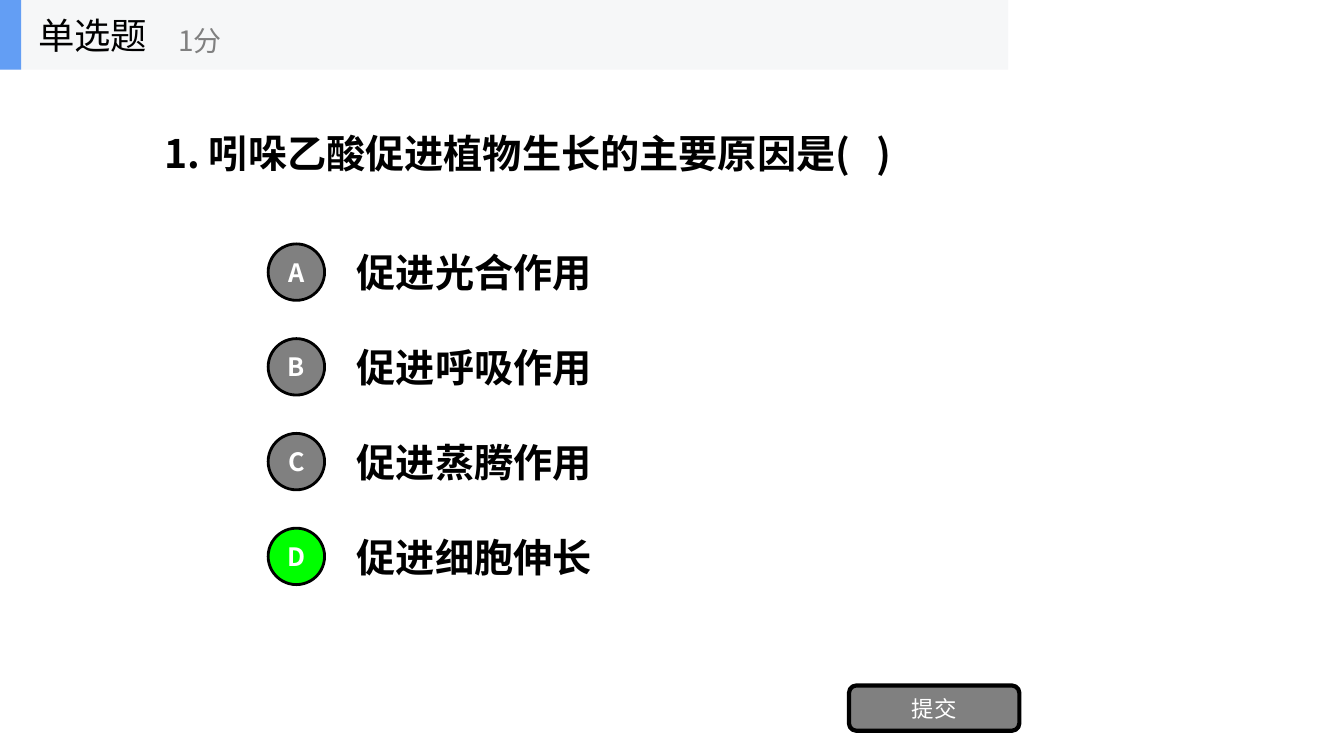
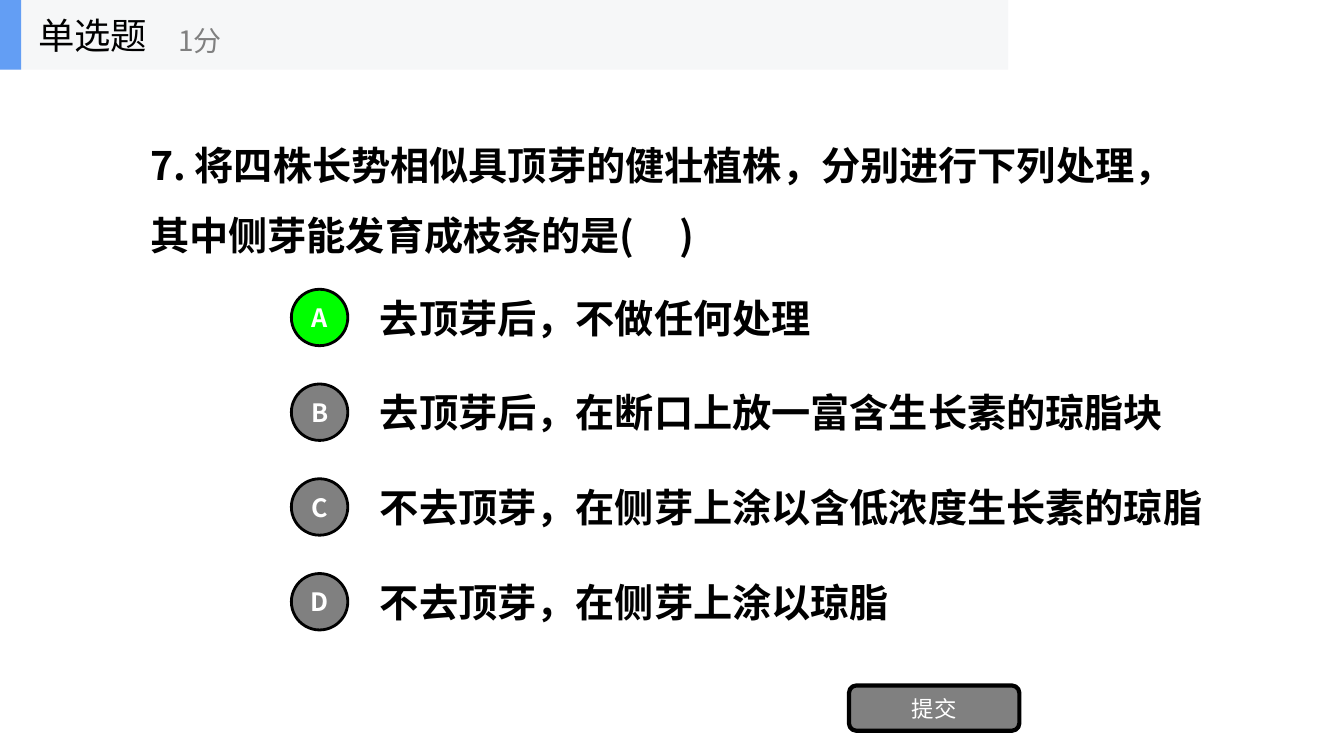
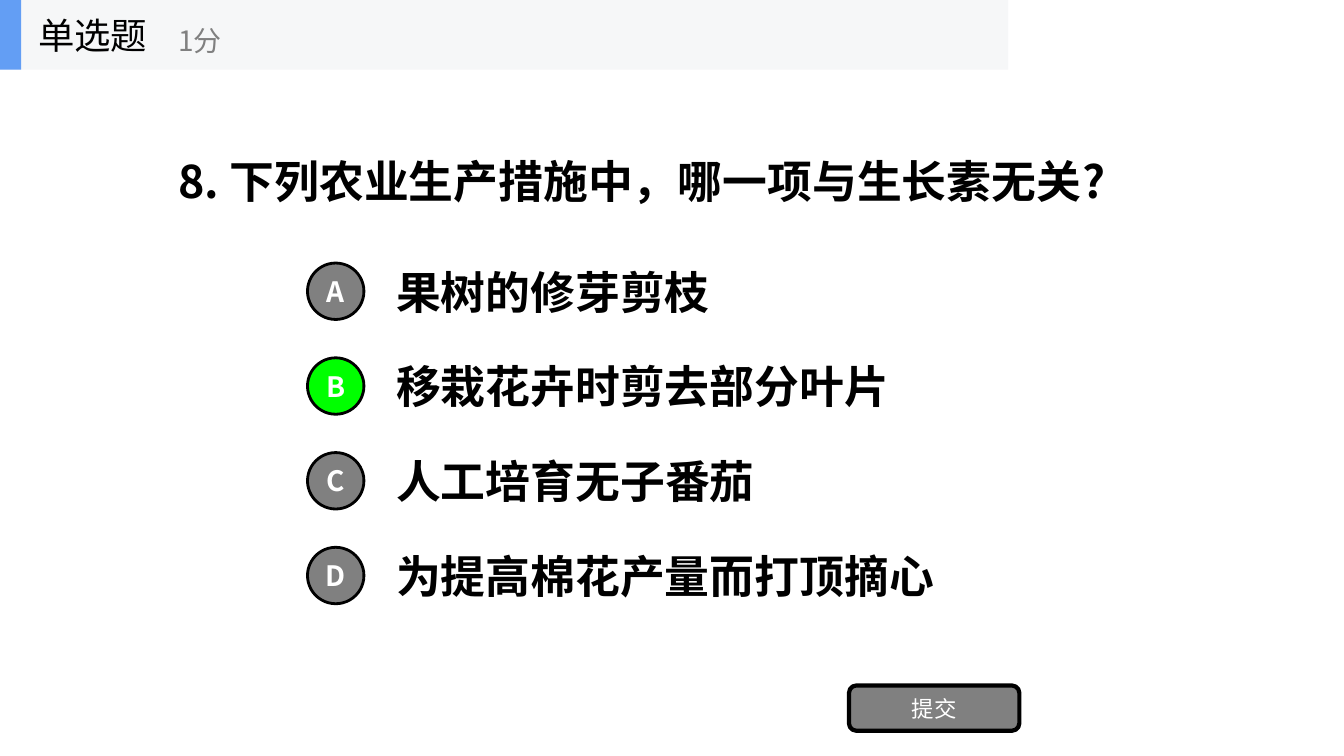
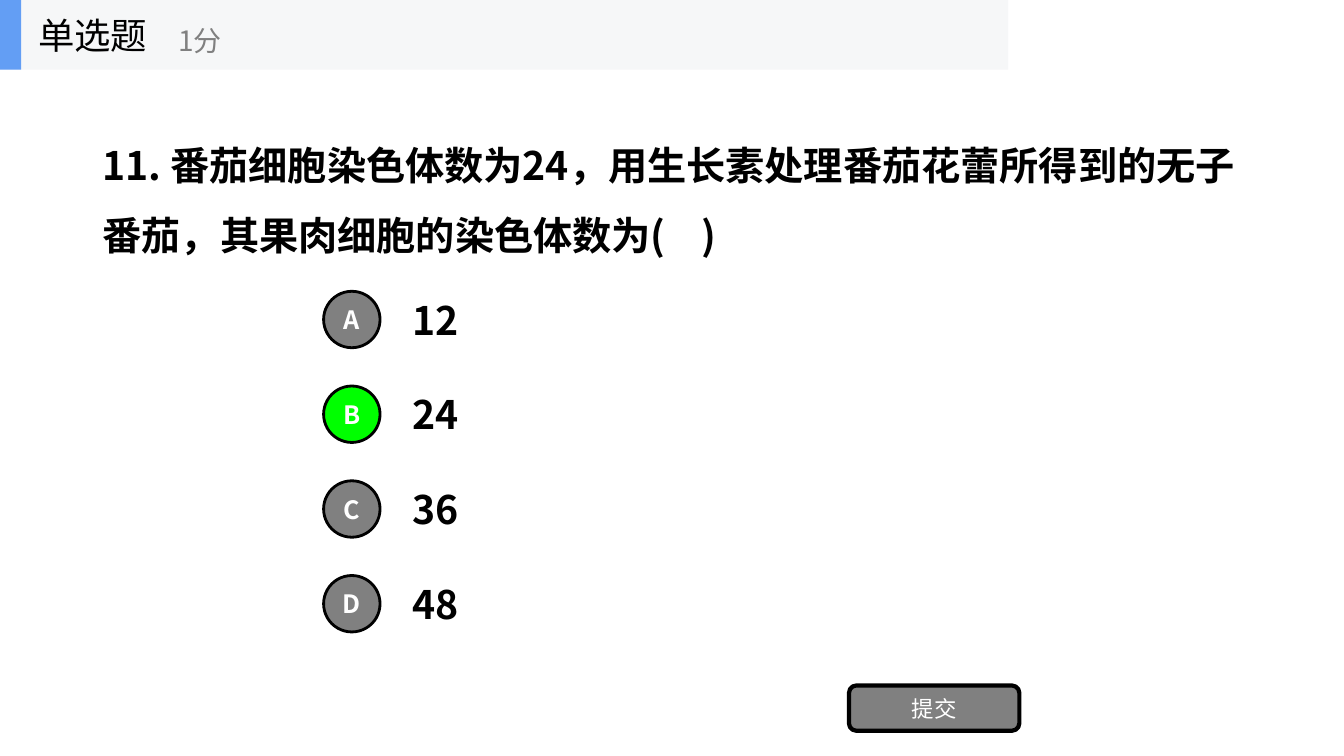
from dataclasses import dataclass

import pptx
import pptx.dml.color
import pptx.enum.shapes
import pptx.enum.text
import pptx.oxml
import pptx.oxml.ns
import pptx.util
from pptx.util import Inches

MSO_SHAPE = pptx.enum.shapes.MSO_SHAPE
PP_ALIGN = pptx.enum.text.PP_ALIGN


@dataclass(frozen=True)
class Theme:
    font: str = "Noto Sans CJK SC"
    white: str = "FFFFFF"
    black: str = "000000"
    grey: str = "808080"
    correct: str = "00FF00"
    band: str = "F6F7F8"
    accent: str = "639EF4"
    heading_size: int = 26
    score_size: int = 20
    button_size: int = 16
    badge_line: int = 2
    button_line: int = 3


@dataclass(frozen=True)
class TextScale:
    """Sizes in points, and the height in inches of a one-line box."""
    text: int
    badge: int
    line_height: float


@dataclass(frozen=True)
class Question:
    text: str
    text_box: tuple
    options: tuple  # (text, box width) pairs
    options_at: tuple
    answer: str
    scale: TextScale
    line_spacing: float | None = None


THEME = Theme()
REGULAR = TextScale(28, 18, 0.57)
LARGE = TextScale(32, 20, 0.64)

SLIDE_SIZE = (13.33, 7.5)
HEADER_BOX = (0, 0, 10, 0.69)
BUTTON_BOX = (8.42, 6.8, 1.69, 0.45)
BADGE_SIZE = 0.56
OPTION_PITCH = 0.94
LABEL_OFFSET = 0.78

QUESTIONS = (
    Question(
        text="1. 吲哚乙酸促进植物生长的主要原因是(   )",
        text_box=(1.53, 1.23, 8.05, 0.57),
        options=(("促进光合作用", 3.79), ("促进呼吸作用", 3.79),
                 ("促进蒸腾作用", 3.79), ("促进细胞伸长", 3.79)),
        options_at=(2.66, 2.42),
        answer="D",
        scale=REGULAR,
    ),
    Question(
        text="7. 将四株长势相似具顶芽的健壮植株，分别进行下列处理，其中侧芽能发育成枝条的是(     )",
        text_box=(1.39, 1.11, 10.55, 1.51),
        options=(("去顶芽后，不做任何处理", 4.75),
                 ("去顶芽后，在断口上放一富含生长素的琼脂块", 8.12),
                 ("不去顶芽，在侧芽上涂以含低浓度生长素的琼脂", 8.75),
                 ("不去顶芽，在侧芽上涂以琼脂", 5.91)),
        options_at=(2.89, 2.87),
        answer="A",
        scale=REGULAR,
        line_spacing=1.5,
    ),
    Question(
        text="8. 下列农业生产措施中，哪一项与生长素无关?",
        text_box=(1.67, 1.47, 9.72, 0.64),
        options=(("果树的修芽剪枝", 3.44), ("移栽花卉时剪去部分叶片", 5.2),
                 ("人工培育无子番茄", 3.88), ("为提高棉花产量而打顶摘心", 5.64)),
        options_at=(3.05, 2.61),
        answer="B",
        scale=LARGE,
    ),
    Question(
        text="11. 番茄细胞染色体数为24，用生长素处理番茄花蕾所得到的无子番茄，其果肉细胞的染色体数为(    )",
        text_box=(0.92, 1.11, 11.65, 1.51),
        options=(("12", 0.73), ("24", 0.73), ("36", 0.73), ("48", 0.73)),
        options_at=(3.21, 2.89),
        answer="B",
        scale=REGULAR,
        line_spacing=1.5,
    ),
)


def rgb(color):
    return pptx.dml.color.RGBColor.from_string(color)


def write_text(shape, text, size, color, bold=False, align=PP_ALIGN.LEFT, line_spacing=None):
    """Put one vertically centred paragraph in a shape."""
    frame = shape.text_frame
    frame.word_wrap = True
    frame.vertical_anchor = pptx.enum.text.MSO_ANCHOR.MIDDLE
    paragraph = frame.paragraphs[0]
    paragraph.alignment = align
    if line_spacing:
        paragraph.line_spacing = line_spacing
    run = paragraph.add_run()
    run.text = text
    run.font.size = pptx.util.Pt(size)
    run.font.bold = bold
    run.font.color.rgb = rgb(color)
    run.font.name = THEME.font
    # East Asian characters take their typeface from a:ea
    east_asian = pptx.oxml.parse_xml(
        f'<a:ea {pptx.oxml.ns.nsdecls("a")} typeface="{THEME.font}"/>')
    run.font._element.append(east_asian)


def add_text(shapes, box, text, size, color, grow=False, **style):
    shape = shapes.add_textbox(*map(Inches, box))
    write_text(shape, text, size, color, **style)
    if grow:
        shape.text_frame.auto_size = pptx.enum.text.MSO_AUTO_SIZE.SHAPE_TO_FIT_TEXT
    return shape


def add_panel(shapes, kind, box, fill, line_width=None):
    """Add a filled shape, outlined in black when a line width is given."""
    shape = shapes.add_shape(kind, *map(Inches, box))
    shape.shadow.inherit = False
    shape.fill.solid()
    shape.fill.fore_color.rgb = rgb(fill)
    if line_width:
        shape.line.color.rgb = rgb(THEME.black)
        shape.line.width = pptx.util.Pt(line_width)
    else:
        shape.line.fill.background()
    return shape


def add_header(slide, box):
    left, top, width, height = box
    shapes = slide.shapes.add_group_shape().shapes
    add_panel(shapes, MSO_SHAPE.RECTANGLE, box, THEME.band)
    add_panel(shapes, MSO_SHAPE.RECTANGLE, (left, top, 0.21, height), THEME.accent)
    add_text(shapes, (left + 0.28, top, 2.08, height), "单选题",
             THEME.heading_size, THEME.black)
    add_text(shapes, (left + 1.67, top + 0.12, 2.5, height - 0.13), "1分",
             THEME.score_size, THEME.grey)


def add_option(slide, left, top, letter, text, width, scale, is_answer):
    """Add a lettered badge and, centred beside it, its label."""
    label_top = top + (BADGE_SIZE - scale.line_height) / 2
    add_text(slide.shapes, (left + LABEL_OFFSET, label_top, width, scale.line_height),
             text, scale.text, THEME.black, grow=True, bold=True)
    badge = add_panel(slide.shapes, MSO_SHAPE.OVAL, (left, top, BADGE_SIZE, BADGE_SIZE),
                      THEME.correct if is_answer else THEME.grey, THEME.badge_line)
    badge.text_frame.margin_left = badge.text_frame.margin_right = 0
    write_text(badge, letter, scale.badge, THEME.white, bold=True, align=PP_ALIGN.CENTER)


def add_submit_button(slide, box):
    button = add_panel(slide.shapes, MSO_SHAPE.ROUNDED_RECTANGLE, box,
                       THEME.grey, THEME.button_line)
    write_text(button, "提交", THEME.button_size, THEME.white, align=PP_ALIGN.CENTER)


def add_question_slide(presentation, question):
    slide = presentation.slides.add_slide(presentation.slide_layouts[6])
    add_text(slide.shapes, question.text_box, question.text, question.scale.text,
             THEME.black, grow=True, bold=True, line_spacing=question.line_spacing)
    left, top = question.options_at
    for index, (letter, (text, width)) in enumerate(zip("ABCD", question.options)):
        add_option(slide, left, top + index * OPTION_PITCH, letter, text, width,
                   question.scale, letter == question.answer)
    add_submit_button(slide, BUTTON_BOX)
    add_header(slide, HEADER_BOX)


def main():
    presentation = pptx.Presentation()
    presentation.slide_width, presentation.slide_height = map(Inches, SLIDE_SIZE)
    background = presentation.slide_master.background.fill
    background.solid()
    background.fore_color.rgb = rgb(THEME.white)
    for question in QUESTIONS:
        add_question_slide(presentation, question)
    presentation.save("out.pptx")


if __name__ == "__main__":
    main()
